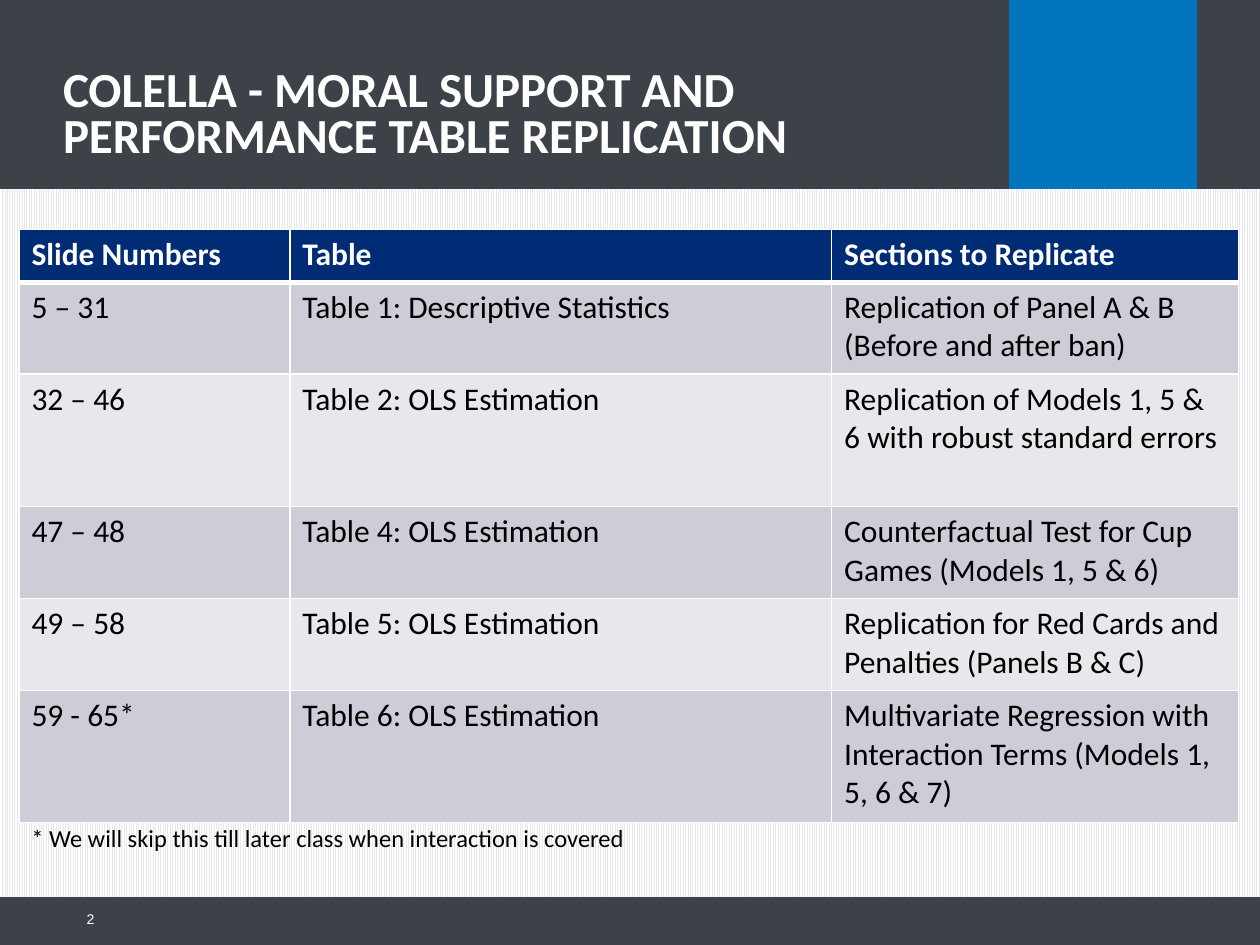
from lxml.etree import SubElement
from pptx import Presentation
from pptx.dml.color import RGBColor
from pptx.enum.dml import MSO_PATTERN
from pptx.enum.shapes import MSO_SHAPE
from pptx.enum.text import MSO_ANCHOR, MSO_AUTO_SIZE, PP_ALIGN
from pptx.oxml.ns import qn
from pptx.util import Inches, Pt

# Content
TITLE = "COLELLA - MORAL SUPPORT AND PERFORMANCE TABLE REPLICATION"
ROWS = [
    ("Slide Numbers", "Table", "Sections to Replicate"),
    ("5 – 31", "Table 1: Descriptive Statistics",
     "Replication of Panel A & B (Before and after ban)"),
    ("32 – 46", "Table 2: OLS Estimation",
     "Replication of Models 1, 5 & 6 with robust standard errors"),
    ("47 – 48", "Table 4: OLS Estimation",
     "Counterfactual Test for Cup Games (Models 1, 5 & 6)"),
    ("49 – 58", "Table 5: OLS Estimation",
     "Replication for Red Cards and Penalties (Panels B & C)"),
    ("59 - 65*", "Table 6: OLS Estimation",
     "Multivariate Regression with Interaction Terms (Models 1, 5, 6 & 7)"),
]
FOOTNOTE = "* We will skip this till later class when interaction is covered"
PAGE_NUMBER = "2"

# Layout and colours
COLUMN_WIDTHS = [2.15, 4.3, 3.23]
ROW_HEIGHTS = [0.42, 0.73, 1.05, 0.73, 0.73, 1.05]
WHITE, BLACK = "FFFFFF", "000000"
SLATE, BLUE, NAVY = "3D4248", "0075BE", "002B75"
STRIPES = ["E7E8EC", "CCCDD6"]
BANDS = [
    (0, 7.12, 10, 0.38, SLATE),
    (0, 0, 10, 1.5, SLATE),
    (8.01, 0, 1.49, 1.5, BLUE),
]


def rgb(value):
    return RGBColor.from_string(value)


def format_text(frame, size, color, bold=False, font_name="Calibri"):
    for paragraph in frame.paragraphs:
        for run in paragraph.runs:
            font = run.font
            font.name, font.size, font.bold = font_name, Pt(size), bold
            font.color.rgb = rgb(color)


def clear_margins(frame):
    frame.margin_left = frame.margin_right = 0
    frame.margin_top = frame.margin_bottom = 0


def add_text(slide, text, left, top, width, height):
    frame = slide.shapes.add_textbox(
        Inches(left), Inches(top), Inches(width), Inches(height)).text_frame
    frame.word_wrap = True
    frame.text = text
    return frame


def set_borders(cell, widths):
    properties = cell._tc.get_or_add_tcPr()
    for position, (side, width) in enumerate(zip("LRTB", widths)):
        line = SubElement(properties, qn(f"a:ln{side}"), w=str(Pt(width)))
        fill = SubElement(line, qn("a:solidFill"))
        SubElement(fill, qn("a:srgbClr"), val=WHITE)
        properties.insert(position, line)


def add_bands(slide):
    for left, top, width, height, color in BANDS:
        band = slide.shapes.add_shape(
            MSO_SHAPE.RECTANGLE, Inches(left), Inches(top), Inches(width), Inches(height))
        band.shadow.inherit = False
        band.fill.solid()
        band.fill.fore_color.rgb = rgb(color)
        band.line.fill.background()


def add_title(slide):
    title = slide.shapes.title
    title.left, title.top = Inches(0.5), Inches(0.37)
    title.width, title.height = Inches(6.49), Inches(1.13)
    frame = title.text_frame
    frame.text = TITLE
    frame.word_wrap = True
    frame.auto_size = MSO_AUTO_SIZE.NONE
    frame.vertical_anchor = MSO_ANCHOR.MIDDLE
    clear_margins(frame)
    frame.paragraphs[0].alignment = PP_ALIGN.LEFT
    frame.paragraphs[0].line_spacing = Pt(26)
    format_text(frame, 28, WHITE, bold=True)
    # Bring the title in front of the bands
    slide.shapes._spTree.append(title._element)


def add_schedule(slide):
    table = slide.shapes.add_table(
        len(ROWS), len(COLUMN_WIDTHS), Inches(0.15), Inches(1.82),
        Inches(sum(COLUMN_WIDTHS)), Inches(sum(ROW_HEIGHTS))).table
    for column, width in zip(table.columns, COLUMN_WIDTHS):
        column.width = Inches(width)
    for r, (texts, height) in enumerate(zip(ROWS, ROW_HEIGHTS)):
        header = r == 0
        table.rows[r].height = Inches(height)
        for c, text in enumerate(texts):
            cell = table.cell(r, c)
            cell.text = text
            format_text(cell.text_frame, 18, WHITE if header else BLACK, bold=header)
            cell.fill.solid()
            cell.fill.fore_color.rgb = rgb(NAVY if header else STRIPES[r % 2])
            set_borders(cell, (1, 1, 3 if r == 1 else 1, 3 if header else 1))


def main():
    deck = Presentation()
    deck.slide_width, deck.slide_height = Inches(10), Inches(7.5)
    slide = deck.slides.add_slide(deck.slide_layouts[5])

    # Striped background
    backdrop = slide.background.fill
    backdrop.patterned()
    backdrop.pattern = MSO_PATTERN.NARROW_VERTICAL
    backdrop.fore_color.rgb = rgb("E8E7EB")
    backdrop.back_color.rgb = rgb(WHITE)

    add_bands(slide)
    add_title(slide)

    # Page number
    page = add_text(slide, PAGE_NUMBER, 0.5, 7.09, 0.25, 0.4)
    clear_margins(page)
    page.vertical_anchor = MSO_ANCHOR.MIDDLE
    page.paragraphs[0].alignment = PP_ALIGN.RIGHT
    format_text(page, 8, WHITE, font_name="Arial")

    add_schedule(slide)

    # Footnote
    footnote = add_text(slide, FOOTNOTE, 0.15, 6.48, 6.65, 0.34)
    footnote.auto_size = MSO_AUTO_SIZE.SHAPE_TO_FIT_TEXT
    format_text(footnote, 14, BLACK)

    deck.save("out.pptx")


if __name__ == "__main__":
    main()
